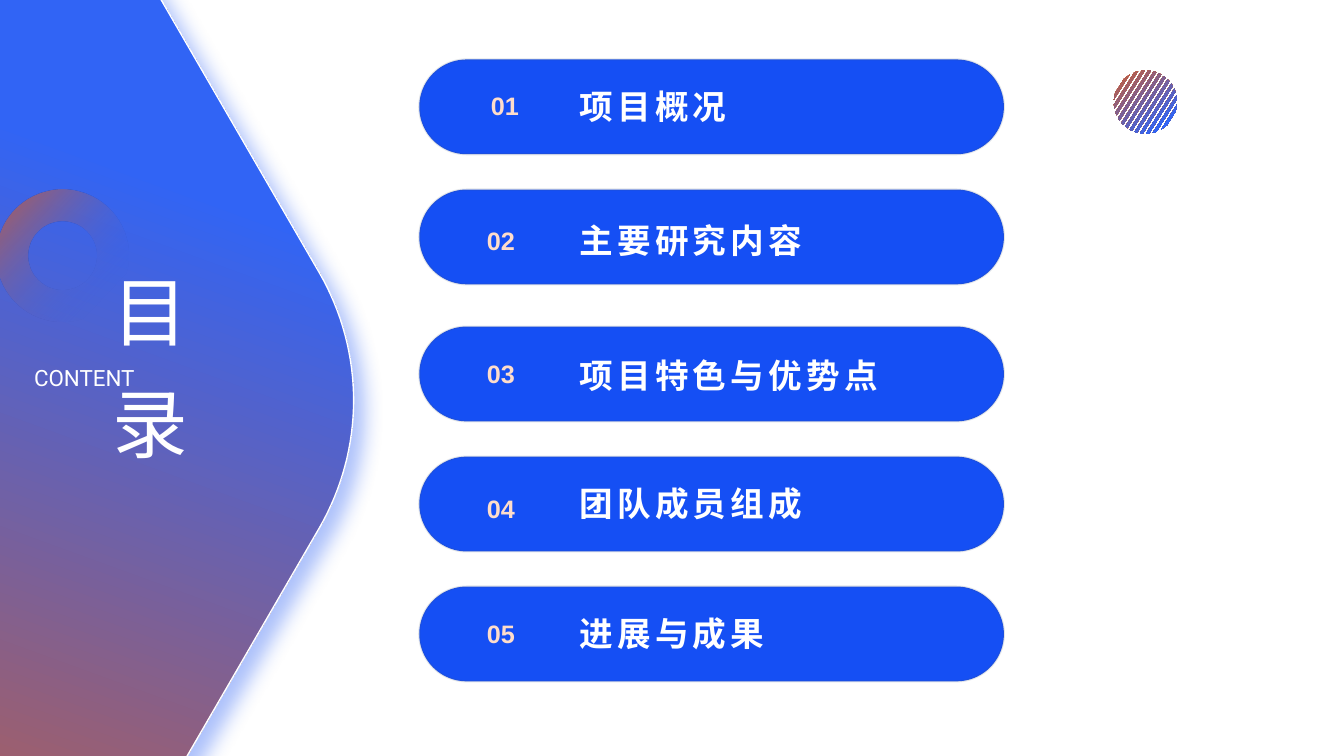
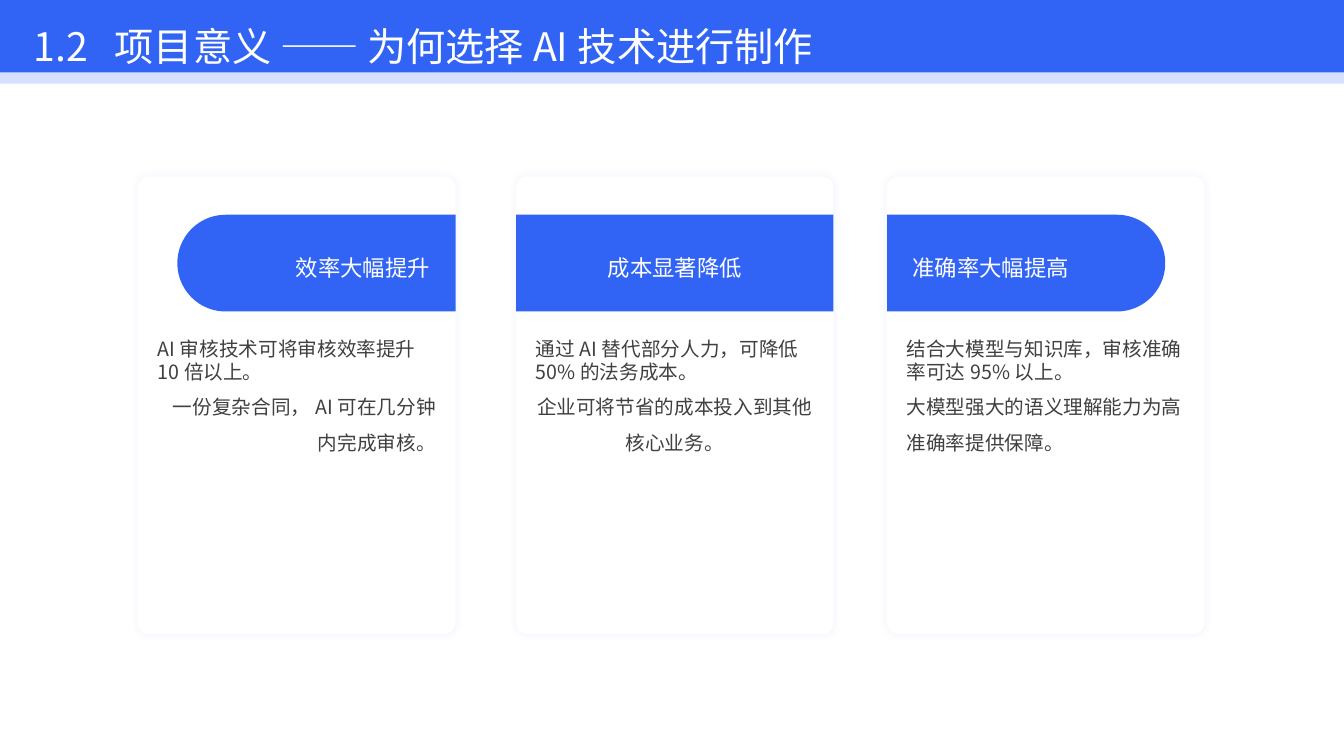
"""Build a contents slide and a three-card slide on AI contract review."""
import math

from lxml import etree
from pptx import Presentation
from pptx.dml.color import RGBColor
from pptx.enum import shapes, text
from pptx.oxml.ns import qn
from pptx.util import Pt

WHITE = RGBColor(0xFF, 0xFF, 0xFF)
BLUE = RGBColor(0x31, 0x64, 0xF5)
DEEP_BLUE = RGBColor(0x15, 0x4F, 0xF4)
PALE_BLUE = RGBColor(0xD6, 0xE0, 0xFD)
ORANGE = RGBColor(0xF2, 0x5A, 0x03)
PEACH = RGBColor(0xFE, 0xDD, 0xCB)
SLATE = RGBColor(0x44, 0x54, 0x6A)
GREY = RGBColor(0x40, 0x40, 0x40)

SANS = "Noto Sans CJK SC"
WIDTH, HEIGHT = 960, 540

SHAPE = shapes.MSO_SHAPE
LEFT, CENTER, RIGHT = text.PP_ALIGN.LEFT, text.PP_ALIGN.CENTER, text.PP_ALIGN.RIGHT
TOP, MIDDLE = text.MSO_ANCHOR.TOP, text.MSO_ANCHOR.MIDDLE

CONTENTS = [
    ("01", "项目概况", 42.5, 75.6, 75.6),
    ("02", "主要研究内容", 135.4, 171.4, 171.4),
    ("03", "项目特色与优势点", 233.3, 267.1, 267.8),
    ("04", "团队成员组成", 326.2, 362.9, 359.3),
    ("05", "进展与成果", 419, 452.2, 452.2),
]

CARDS = [
    (98.6, RIGHT, "效率大幅提升", "AI审核技术可将审核效率提升10倍以上。",
     "一份复杂合同，AI可在几分钟内完成审核。"),
    (368.6, CENTER, "成本显著降低", "通过AI替代部分人力，可降低50%的法务成本。",
     "企业可将节省的成本投入到其他核心业务。"),
    (633.6, LEFT, "准确率大幅提高", "结合大模型与知识库，审核准确率可达95%以上。",
     "大模型强大的语义理解能力为高准确率提供保障。"),
]


def write(p, content, size, color, font=SANS, bold=False, align=LEFT, line=1.0, spacing=0):
    """Format paragraph p and put content in it."""
    p.alignment, p.line_spacing = align, line
    r = p.add_run()
    r.text = content
    r.font.size, r.font.bold, r.font.name = Pt(size), bold, font
    r.font.color.rgb = color
    rPr = r.font._element
    if spacing:
        rPr.set("spc", str(round(spacing * 100)))
    etree.SubElement(rPr, qn("a:ea")).set("typeface", SANS)


def frame(sp, inset=(7.2, 3.6), anchor=TOP):
    """Set wrapping, margins and anchor of a text shape and return its frame."""
    tf = sp.text_frame
    tf.word_wrap, tf.auto_size, tf.vertical_anchor = True, text.MSO_AUTO_SIZE.NONE, anchor
    tf.margin_left = tf.margin_right = Pt(inset[0])
    tf.margin_top = tf.margin_bottom = Pt(inset[1])
    return tf


def textbox(s, box, **layout):
    """Add a text box and return its frame."""
    return frame(s.shapes.add_textbox(*map(Pt, box)), **layout)


def place_title(s, box, content, size, **style):
    """Move the title placeholder to the front, fill it and return its frame."""
    sp = s.shapes.title
    s.shapes._spTree.append(sp._element)
    sp.left, sp.top, sp.width, sp.height = map(Pt, box)
    tf = frame(sp)
    write(tf.paragraphs[0], content, size, WHITE, **style)
    return tf


def set_alpha(color_element, percent):
    """Make a colour element partly transparent."""
    etree.SubElement(color_element, qn("a:alpha")).set("val", str(percent * 1000))


def paint(sp, color=None, angle=None):
    """Give a shape a solid or orange-to-blue fill, without line or shadow."""
    sp.shadow.inherit = False
    sp.line.fill.background()
    if color is not None:
        sp.fill.solid()
        sp.fill.fore_color.rgb = color
        return
    sp.fill.gradient()
    sp.fill.gradient_angle = 360 - angle
    for stop, rgb, position in zip(sp.fill.gradient_stops, (ORANGE, BLUE), (0, 0.74)):
        stop.color.rgb, stop.position = rgb, position


def outline(sp, color, width):
    """Draw the line of a shape."""
    sp.line.color.rgb, sp.line.width = color, Pt(width)


def cast_shadow(sp, alpha, blur, distance=0, direction=0):
    """Add a blue outer shadow to a painted shape."""
    effects = sp._element.spPr.find(qn("a:effectLst"))
    shadow = etree.SubElement(effects, qn("a:outerShdw"), blurRad=str(Pt(blur)),
                              dist=str(Pt(distance)), dir=str(direction * 60000),
                              algn="ctr", rotWithShape="0")
    color = etree.SubElement(shadow, qn("a:srgbClr"), val=str(BLUE))
    set_alpha(color, alpha)


def add_shape(s, kind, box, adjustments=(), rotation=0, **fill):
    """Add a painted preset shape."""
    sp = s.shapes.add_shape(kind, *map(Pt, box))
    for i, value in enumerate(adjustments):
        sp.adjustments[i] = value
    sp.rotation = rotation
    paint(sp, **fill)
    return sp


def add_outline_shape(s, contours, **fill):
    """Add a painted freeform made of closed contours."""
    contours = [[(Pt(x), Pt(y)) for x, y in contour] for contour in contours]
    builder = s.shapes.build_freeform(*contours[0][0])
    for i, contour in enumerate(contours):
        if i:
            builder.move_to(*contour[0])
        builder.add_line_segments(contour[1:], close=True)
    sp = builder.convert_to_shape()
    paint(sp, **fill)
    return sp


def bezier(a, b, c, d, steps=16):
    """Return points along a cubic curve."""
    points = []
    for i in range(steps + 1):
        t = i / steps
        weights = ((1 - t) ** 3, 3 * t * (1 - t) ** 2, 3 * t * t * (1 - t), t ** 3)
        points.append(tuple(sum(w * q[k] for w, q in zip(weights, (a, b, c, d)))
                            for k in (0, 1)))
    return points


def add_side_panel(s, cx=-176.4, cy=286):
    """Add the large hexagon with rounded corners at the left edge."""
    quarter = bezier((429, 0), (429, 32), (420.5, 63.4), (404.6, 91))
    quarter += bezier((280.8, 304.6), (248.4, 360.7), (187.9, 396), (123.1, 396))
    half = quarter + [(-x, y) for x, y in reversed(quarter)]
    ring = half + [(x, -y) for x, y in reversed(half)]
    sp = add_outline_shape(s, [[(cx + x, cy + y) for x, y in ring]], angle=290)
    outline(sp, WHITE, 1)
    cast_shadow(sp, 40, 14, 11, 45)


def add_striped_disc(s, cx=818.2, cy=72.9, radius=22.6, stripes=12, pitch=3.8, width=1.8):
    """Add a disc made of slanted stripes."""
    contours = []
    for i in range(stripes):
        middle = (i - (stripes - 1) / 2) * pitch
        x1, x2 = middle - width / 2, middle + width / 2
        y1, y2 = (math.sqrt(radius ** 2 - x * x) for x in (x1, x2))
        corners = [(x1, -y1), (x2, -y2), (x2, y2), (x1, y1)]
        contours.append([(cx + x, cy + y) for x, y in corners])
    add_outline_shape(s, contours, angle=20).rotation = 32.2


def add_entry(s, number, label, top, number_y, label_y):
    """Add one pill of the contents list."""
    pill = add_shape(s, SHAPE.ROUNDED_RECTANGLE, (299.5, top, 417.6, 67.7), (0.5,),
                     color=DEEP_BLUE)
    outline(pill, SLATE, 1.5)
    set_alpha(pill.line._ln.find(".//" + qn("a:srgbClr")), 15)
    number_x = 334 if number == "01" else 331.2
    tf = textbox(s, (number_x, number_y - 28.8, 53.3, 57.6), inset=(0, 0), anchor=MIDDLE)
    write(tf.paragraphs[0], number, 18, PEACH, font="Arial", bold=True, align=CENTER)
    tf = textbox(s, (414, label_y - 28, 260, 56), inset=(0, 0), anchor=MIDDLE)
    write(tf.paragraphs[0], label, 24, WHITE, font="Arial", bold=True, spacing=3)


def add_card(s, left, align, heading, lead, detail):
    """Add a white card with a blue heading tab and two paragraphs."""
    width, tab_top, tab_height, tab_width = 226.8, 153.4, 69.1, 198.7
    card = add_shape(s, SHAPE.ROUNDED_RECTANGLE, (left, 126, width, 326.9), (0.035,),
                     color=WHITE)
    cast_shadow(card, 8, 5.6)
    if align == CENTER:
        add_shape(s, SHAPE.RECTANGLE, (left, tab_top, width, tab_height), color=BLUE)
    else:
        tab_left = left + width - tab_width if align == RIGHT else left
        shift = (tab_width - tab_height) / 2
        add_shape(s, SHAPE.ROUND_2_SAME_RECTANGLE,
                  (tab_left + shift, tab_top - shift, tab_height, tab_width), (0.5, 0),
                  rotation=270 if align == RIGHT else 90, color=BLUE)
    tf = textbox(s, (left + 11.2, 162.7, width - 22.4, 50.4), anchor=MIDDLE)
    write(tf.paragraphs[0], heading, 16, WHITE, align=align, line=1.3)
    tf = textbox(s, (left + 14, 241.2, 198.7, 174), inset=(0, 0))
    write(tf.paragraphs[0], lead, 14, GREY, line=Pt(16.4))
    write(tf.add_paragraph(), detail, 14, GREY, align=align, line=Pt(25.2))


def build_contents(s):
    """Build the contents slide."""
    add_side_panel(s)
    ring = add_shape(s, SHAPE.DONUT, (-2.2, 135.4, 94.3, 94.3), (0.241,), 23.2, angle=20)
    set_alpha(ring._element.spPr.findall(".//" + qn("a:srgbClr"))[-1], 0)
    add_striped_disc(s)
    tf = place_title(s, (71.3, 192.2, 79.9, 148.3), "目 录", 54, font="Roboto",
                     line=1.1, spacing=6.7)
    tf._txBody.bodyPr.set("vert", "eaVert")
    tf = textbox(s, (17.3, 254.9, 188.6, 23))
    write(tf.paragraphs[0], "CONTENT", 16, WHITE, font="Roboto", line=1.1)
    for entry in CONTENTS:
        add_entry(s, *entry)


def build_reasons(s):
    """Build the slide with the header band and three cards."""
    for card in CARDS:
        add_card(s, *card)
    for height, color in ((59.8, PALE_BLUE), (51.8, BLUE)):
        add_shape(s, SHAPE.RECTANGLE, (0, 0, WIDTH, height), color=color)
    tf = place_title(s, (16.8, 3.6, 902.6, 47.5), "1.2\t项目意义 —— 为何选择AI技术进行制作",
                     28, line=Pt(42))
    tabs = etree.SubElement(tf.paragraphs[0]._p.get_or_add_pPr(), qn("a:tabLst"))
    etree.SubElement(tabs, qn("a:tab"), pos=str(Pt(58)), algn="l")


def main():
    """Build and save the presentation."""
    prs = Presentation()
    prs.slide_width, prs.slide_height = Pt(WIDTH), Pt(HEIGHT)
    for build in (build_contents, build_reasons):
        build(prs.slides.add_slide(prs.slide_layouts[5]))
    prs.save("out.pptx")


if __name__ == "__main__":
    main()
